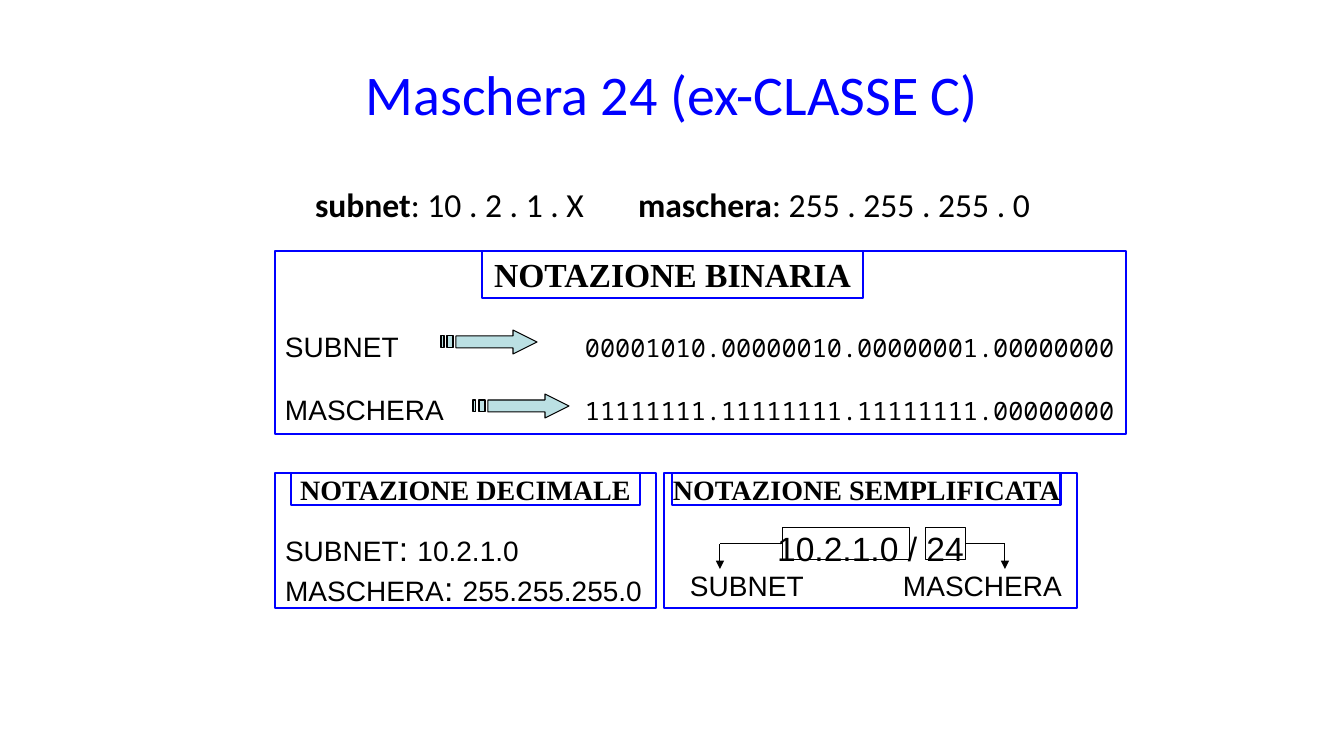
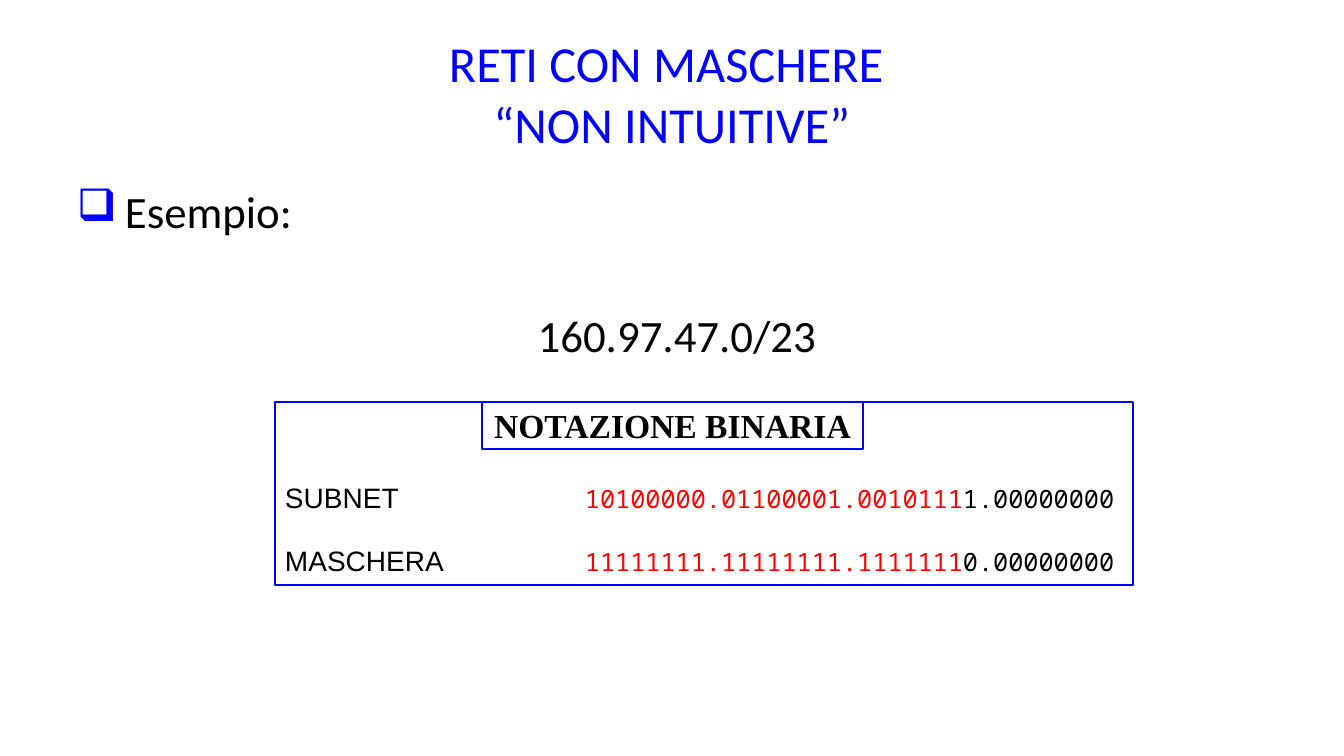
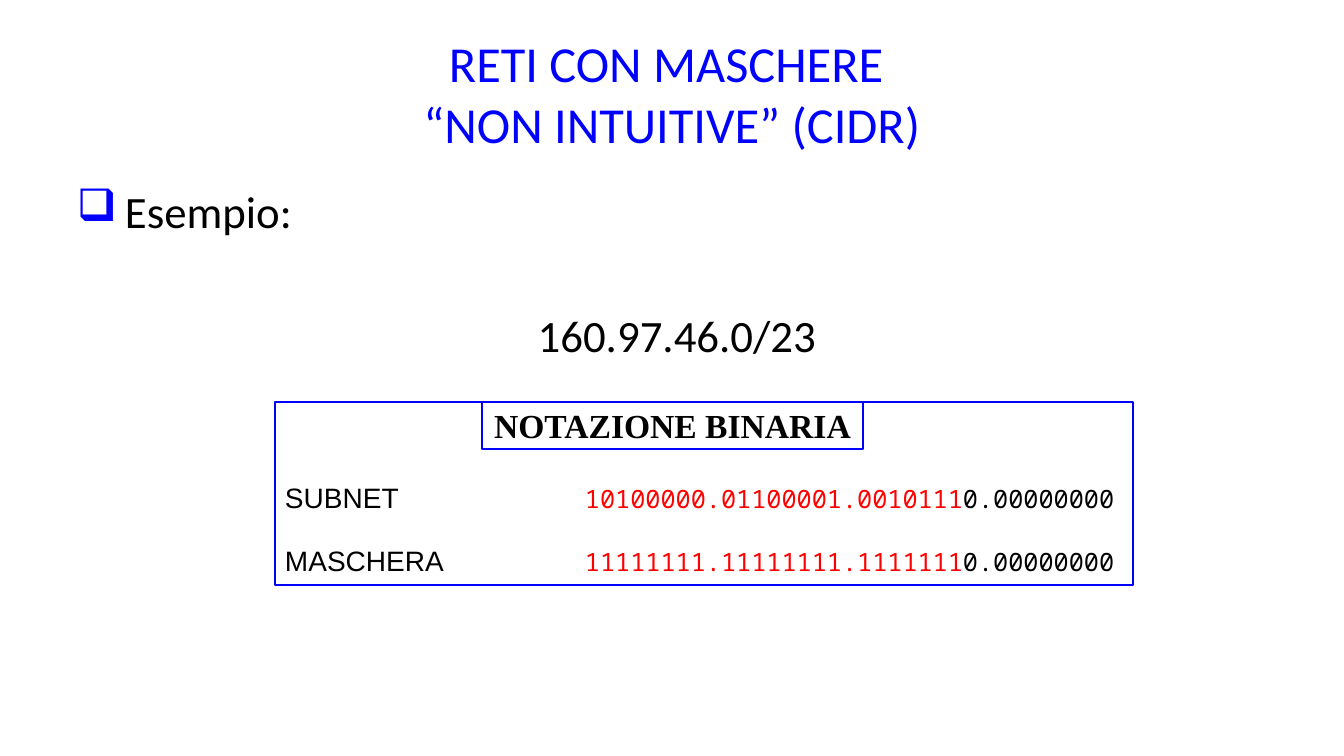
from pptx import Presentation
from pptx.dml.color import RGBColor
from pptx.enum.shapes import MSO_CONNECTOR, MSO_SHAPE
from pptx.enum.text import MSO_ANCHOR, PP_ALIGN
from pptx.oxml.ns import qn
from pptx.util import Emu, Pt
from lxml.etree import SubElement

# Content
BINARY, NET, MASK = "NOTAZIONE BINARIA", "SUBNET", "MASCHERA"
CLASS_C = {
    "title": "Maschera 24 (ex-CLASSE C)",
    "rows": [(NET, "00001010.00000010.00000001.00000000"),
             (MASK, "11111111.11111111.11111111.00000000")],
    "decimal": ("NOTAZIONE DECIMALE", [(NET, "10.2.1.0"), (MASK, "255.255.255.0")]),
    "short": ("NOTAZIONE SEMPLIFICATA", "10.2.1.0 / 24"),
}
CIDR = [
    {"title": "RETI CON MASCHERE \v“NON INTUITIVE”",
     "net": "160.97.47.0/23",
     "rows": [(NET, "10100000.01100001.00101111.00000000"),
              (MASK, "11111111.11111111.11111110.00000000")]},
    {"title": "RETI CON MASCHERE \v“NON INTUITIVE” (CIDR)",
     "net": "160.97.46.0/23",
     "rows": [(NET, "10100000.01100001.00101110.00000000"),
              (MASK, "11111111.11111111.11111110.00000000")]},
]
PREFIX = 25  # 23 bits and two dots

# Look
BLUE, RED, BLACK, TEAL = "0000FF", "FF0000", "000000", "BBE0E3"
FONTS = {
    "title": {"name": "Calibri", "size": Pt(40)},
    "title2": {"name": "Calibri", "size": Pt(36)},
    "body": {"name": "Calibri", "size": Pt(32)},
    "sub": {"name": "Calibri", "size": Pt(24)},
    "bold": {"name": "Calibri", "size": Pt(24), "bold": True},
    "label": {"name": "Arial", "size": Pt(20)},
    "big": {"name": "Arial", "size": Pt(24)},
    "bits": {"name": "Noto Sans Mono", "size": Pt(18)},
    "head": {"name": "Times New Roman", "size": Pt(24), "bold": True},
    "head2": {"name": "Times New Roman", "size": Pt(20), "bold": True},
}
TITLE_BOX = (67, 30, 1210, 126)
ARROW = [
    [(72, 0), (72, 6), (15, 6), (15, 18), (72, 18), (72, 24), (96, 12)],
    [(6, 6), (6, 18), (12, 18), (12, 6)],
    [(0, 6), (0, 18), (3, 18), (3, 6)],
]
SCALE = 12192000 / 1344


def px(num):
    return Emu(round(num * SCALE))


def rgb(code):
    return RGBColor.from_string(code)


def put(obj, vals):
    for key, val in vals.items():
        setattr(obj, key, val)


# Text: a paragraph is (runs, format); a run is (text, font, colour)
def write(shape, paras, top=0, side=10, anchor=MSO_ANCHOR.TOP, wrap=True):
    frame = shape.text_frame
    put(frame, {"margin_left": px(side), "margin_right": 0, "margin_top": px(top),
                "margin_bottom": 0, "vertical_anchor": anchor, "word_wrap": wrap})
    for num, (runs, form) in enumerate(paras):
        para = frame.add_paragraph() if num else frame.paragraphs[0]
        form = {"alignment": PP_ALIGN.LEFT, **form}
        tab, mark = form.pop("tab", None), form.pop("mark", None)
        props = para._p.get_or_add_pPr()
        if mark:
            props.set("marL", str(px(48)))
            props.set("indent", str(px(-48)))
            tint = SubElement(props, qn("a:buClr"))
            SubElement(tint, qn("a:srgbClr"), val=BLUE)
            SubElement(props, qn("a:buChar"), char=mark)
        if tab:
            tabs = SubElement(props, qn("a:tabLst"))
            SubElement(tabs, qn("a:tab"), pos=str(px(tab)), algn="l")
        put(para, form)
        for text, font, tint in runs:
            for part, line in enumerate(text.split("\v")):
                if part:
                    para.add_line_break()
                run = para.add_run()
                run.text = line
                put(run.font, FONTS[font])
                run.font.color.rgb = rgb(tint)


def label(slide, box, paras, **opts):
    write(slide.shapes.add_textbox(*map(px, box)), paras, **opts)


def title(slide, text, font):
    label(slide, TITLE_BOX, [([(text, font, BLUE)], {"alignment": PP_ALIGN.CENTER})],
          anchor=MSO_ANCHOR.MIDDLE, side=0)


# Shapes
def style(shape, tint, width, fill=None):
    shape.shadow.inherit = False
    put(shape.line, {"width": Pt(width)})
    shape.line.color.rgb = rgb(tint)
    if fill:
        shape.fill.solid()
        shape.fill.fore_color.rgb = rgb(fill)
    else:
        shape.fill.background()


def frame(slide, box, tint=BLUE, width=2):
    shape = slide.shapes.add_shape(MSO_SHAPE.RECTANGLE, *map(px, box))
    style(shape, tint, width)
    return shape


def header(slide, box, text, font):
    write(frame(slide, box), [([(text, font, BLACK)], {"alignment": PP_ALIGN.CENTER})],
          anchor=MSO_ANCHOR.MIDDLE, side=0, wrap=False)


def arrow(slide, left, top):
    (start, *rest), *bars = ARROW
    path = slide.shapes.build_freeform(*start, scale=SCALE)
    path.add_line_segments(rest)
    for first, *more in bars:
        path.move_to(*first)
        path.add_line_segments(more)
    style(path.convert_to_shape(px(left), px(top)), BLACK, 0.75, TEAL)


def line(slide, start, end, tip=False):
    link = slide.shapes.add_connector(MSO_CONNECTOR.STRAIGHT, *map(px, start + end))
    put(link.line, {"width": Pt(0.75)})
    link.line.color.rgb = rgb(BLACK)
    if tip:
        SubElement(link.line._get_or_add_ln(), qn("a:tailEnd"), type="triangle")
    SubElement(link._element.spPr, qn("a:effectLst"))
    return link


def binary(slide, top, width, rows, cut=0):
    paras = []
    for num, (name, bits) in enumerate(rows):
        runs = [(name + "\t", "label", BLACK), (bits[:cut], "bits", RED),
                (bits[cut:], "bits", BLACK)]
        paras.append(([run for run in runs if run[0]],
                      {"tab": 300, "space_before": Pt(21 * num)}))
    write(frame(slide, (275, top, width, 183)), paras, top=78)
    header(slide, (482, top, 381, 47), BINARY, "head")


# Slides
def class_c(slide, data):
    title(slide, data["title"], "title")
    label(slide, (305, 176, 740, 50), [([
        ("subnet", "bold", BLACK), (": 10 . 2 . 1 . X\t", "sub", BLACK),
        ("maschera", "bold", BLACK), (": 255 . 255 . 255 . 0", "sub", BLACK),
    ], {"tab": 323})], top=8)
    binary(slide, 251, 851, data["rows"])
    for spot in [(441, 330), (473, 394)]:
        arrow(slide, *spot)

    # Decimal panel
    head, rows = data["decimal"]
    write(frame(slide, (275, 473, 381, 135)),
          [([(name, "label", BLACK), (": ", "big", BLACK), (val, "label", BLACK)], {})
           for name, val in rows], top=55)
    header(slide, (291, 473, 349, 32), head, "head2")

    # Short panel
    head, text = data["short"]
    write(frame(slide, (664, 473, 413, 135)),
          [([(text, "big", BLACK)], {"alignment": PP_ALIGN.CENTER})], top=55, side=0)
    header(slide, (672, 473, 389, 32), head, "head2")
    parts = [(NET, (783, 127), 1, 720, (680, 158)),
             (MASK, (926, 40), 3, 1005, (893, 174))]
    for name, (left, width), site, bend, (start, size) in parts:
        box = frame(slide, (left, 528, width, 32), BLACK, 0.75)
        edge = left if site == 1 else left + width
        line(slide, (edge, 544), (bend, 544)).begin_connect(box, site)
        line(slide, (bend, 544), (bend, 569), tip=True)
        label(slide, (start, 569, size, 32), [([(name, "label", BLACK)], {})],
              anchor=MSO_ANCHOR.MIDDLE)


def cidr(slide, data):
    title(slide, data["title"], "title2")
    label(slide, (67, 176, 1210, 200), [
        ([("Esempio:", "body", BLACK)], {"mark": "❑"}),
        ([(data["net"], "body", BLACK)],
         {"alignment": PP_ALIGN.CENTER, "space_before": Pt(50)}),
    ], top=8)
    binary(slide, 402, 858, data["rows"], PREFIX)


def main():
    deck = Presentation()
    put(deck, {"slide_width": px(1344), "slide_height": px(756)})
    blank = deck.slide_layouts[6]
    class_c(deck.slides.add_slide(blank), CLASS_C)
    for data in CIDR:
        cidr(deck.slides.add_slide(blank), data)
    deck.save("out.pptx")


if __name__ == "__main__":
    main()
